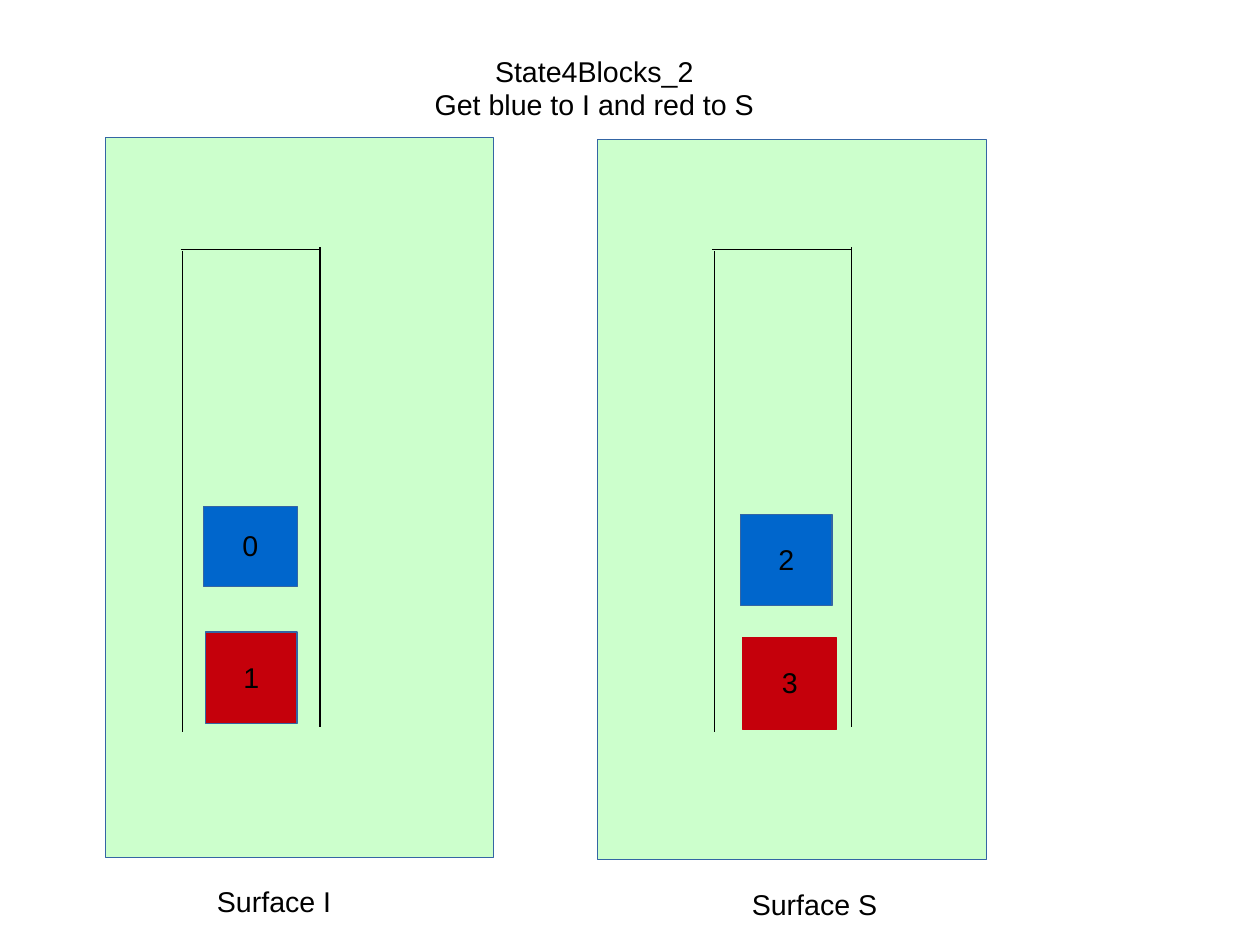
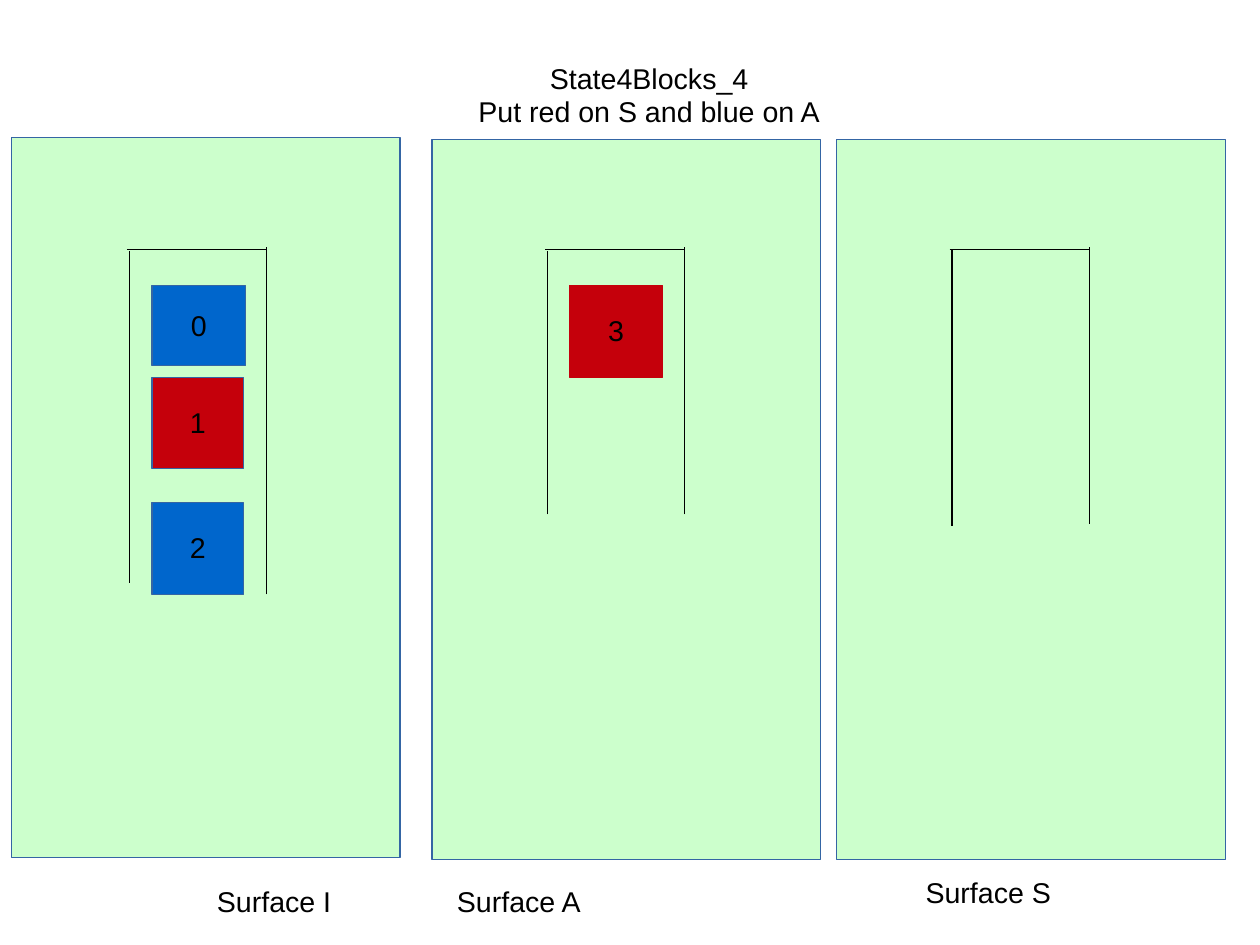
import pptx
import pptx.dml.color
import pptx.enum.shapes
import pptx.enum.text
import pptx.oxml
import pptx.util
from pptx.util import Inches

COLORS = {"surface": "CCFFCC", "edge": "3465A4", "blue": "0066CC",
          "red": "C5000B", "ink": "000000"}
ALIGN = pptx.enum.text.PP_ALIGN
ANCHOR = pptx.enum.text.MSO_ANCHOR

# 28 by 21 cm in whole presentation units of 1/576 inch
PAGE_WIDTH, PAGE_HEIGHT = pptx.util.Emu(10080625), pptx.util.Emu(7559675)
SURFACE_SIZE = (3.4, 6.3)
LABEL_SIZE = (2.3, 0.38)
BIN_WIDTH, BIN_TOP = 1.2, 2.18
OVERHANG = 0.02  # how far the bin's lid and right wall stick out

# surface: left, top; bin: left, left wall's top and bottom, right wall's bottom
# block: number, colour, edge, left, top, width, height
SLIDES = [
    {"title": ["State4Blocks_2", "Get blue to I and red to S"],
     "title_at": (3.2, 0.44, 4, 0.66),
     "surfaces": [
         {"at": (0.92, 1.2), "label": "Surface I", "label_at": (1.8, 7.7),
          "bin": (1.6, 2.2, 6.4, 6.36),
          "blocks": [("0", "blue", "edge", 1.78, 4.43, 0.82, 0.7),
                     ("1", "red", "edge", 1.8, 5.53, 0.8, 0.8)]},
         {"at": (5.23, 1.22), "label": "Surface S", "label_at": (6.48, 7.72),
          "bin": (6.25, 2.2, 6.4, 6.36),
          "blocks": [("2", "blue", "edge", 6.48, 4.5, 0.8, 0.8),
                     ("3", "red", "red", 6.5, 5.58, 0.82, 0.8)]}]},
    {"title": ["State4Blocks_4", "Put red on S and blue on A"],
     "title_at": (3.78, 0.5, 3.8, 0.66),
     "surfaces": [
         {"at": (0.1, 1.2), "label": "Surface I", "label_at": (1.8, 7.7),
          "bin": (1.13, 2.2, 5.1, 5.2),
          "blocks": [("0", "blue", "edge", 1.33, 2.5, 0.82, 0.7),
                     ("1", "red", "edge", 1.33, 3.3, 0.8, 0.8),
                     ("2", "blue", "edge", 1.33, 4.4, 0.8, 0.8)]},
         {"at": (3.78, 1.22), "label": "Surface A", "label_at": (3.9, 7.7),
          "bin": (4.79, 2.2, 4.5, 4.5),
          "blocks": [("3", "red", "red", 4.98, 2.5, 0.82, 0.8)]},
         {"at": (7.32, 1.22), "label": "Surface S", "label_at": (8, 7.62),
          "bin": (8.33, 2.18, 4.6, 4.58),
          "blocks": []}]},
]


def add_rectangle(page, bounds, fill, edge):
    box = page.shapes.add_shape(pptx.enum.shapes.MSO_SHAPE.RECTANGLE,
                                *map(Inches, bounds))
    box.shadow.inherit = False
    box.fill.solid()
    box.fill.fore_color.rgb = pptx.dml.color.RGBColor.from_string(COLORS[fill])
    box.line.color.rgb = pptx.dml.color.RGBColor.from_string(COLORS[edge])
    box.line.width = pptx.util.Pt(0.75)
    return box


def write_text(box, lines, align, anchor=ANCHOR.TOP, wrap=True):
    """Fill the box with one paragraph per line in the shared text style."""
    frame = box.text_frame
    frame.auto_size = pptx.enum.text.MSO_AUTO_SIZE.NONE
    frame.word_wrap = wrap
    frame.vertical_anchor = anchor
    frame.margin_left = frame.margin_right = Inches(0.1)
    frame.margin_top, frame.margin_bottom = Inches(0.06), Inches(0.05)
    frame.text = "\n".join(lines)
    for para in frame.paragraphs:
        para.alignment = align
        para.line_spacing = 0.94
        para.font.name = "Arial"
        para.font.size = pptx.util.Pt(18)
        para.font.color.rgb = pptx.dml.color.RGBColor.from_string(COLORS["ink"])


deck = pptx.Presentation()
deck.slide_width = PAGE_WIDTH
deck.slide_height = PAGE_HEIGHT
title_only = deck.slide_layouts[5]

for content in SLIDES:
    page = deck.slides.add_slide(title_only)
    title = page.shapes.title
    title.left, title.top, title.width, title.height = map(Inches, content["title_at"])
    write_text(title, content["title"], ALIGN.CENTER)

    for surface in content["surfaces"]:
        add_rectangle(page, surface["at"] + SURFACE_SIZE, "surface", "edge")

        label = page.shapes.add_textbox(*map(Inches, surface["label_at"] + LABEL_SIZE))
        write_text(label, [surface["label"]], ALIGN.LEFT)

        for number, color, edge, *bounds in surface["blocks"]:
            block = add_rectangle(page, bounds, color, edge)
            write_text(block, [number], ALIGN.CENTER, ANCHOR.MIDDLE, wrap=False)

        left, wall_top, left_bottom, right_bottom = surface["bin"]
        right = left + BIN_WIDTH
        for ends in [(left, left_bottom, left, wall_top),
                     (left - OVERHANG, BIN_TOP, right, BIN_TOP),
                     (right, right_bottom, right, BIN_TOP - OVERHANG)]:
            wall = page.shapes.add_connector(pptx.enum.shapes.MSO_CONNECTOR.STRAIGHT,
                                             *map(Inches, ends))
            wall.line.color.rgb = pptx.dml.color.RGBColor.from_string(COLORS["ink"])
            wall.line.width = pptx.util.Pt(0.75)
            wall._element.spPr.append(pptx.oxml.parse_xml(
                '<a:effectLst xmlns:a="http://schemas.openxmlformats.org/drawingml/2006/main"/>'))

deck.save("out.pptx")
